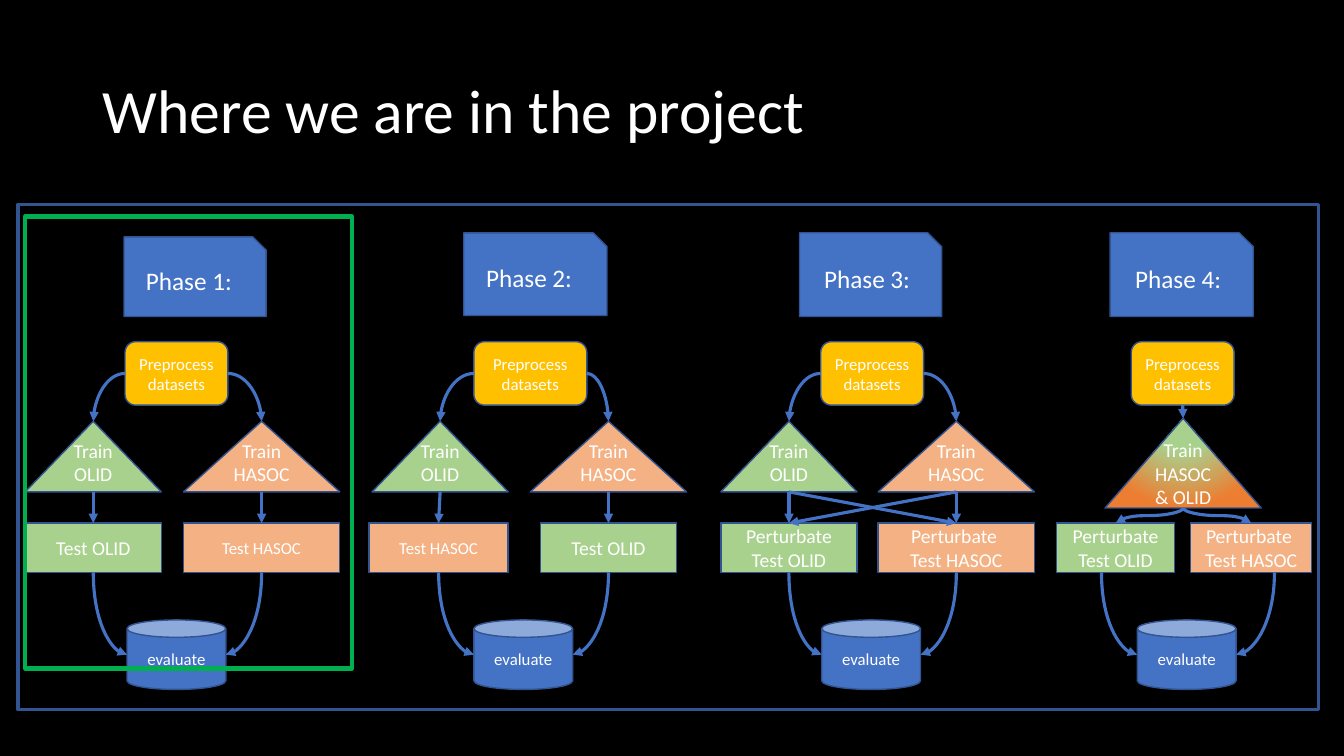
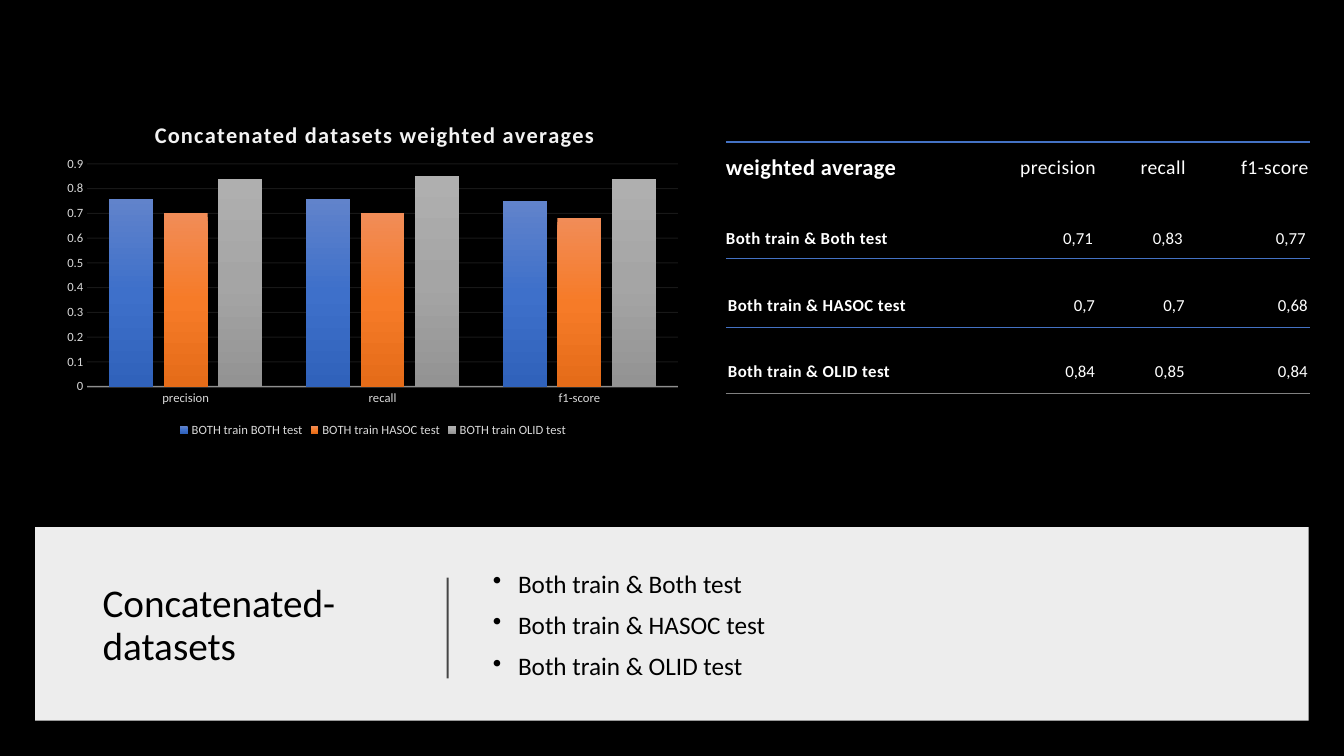
from dataclasses import dataclass
from itertools import product

from lxml import etree
from pptx import Presentation
from pptx.chart.data import CategoryChartData
from pptx.dml.color import RGBColor
from pptx.enum.chart import XL_CHART_TYPE, XL_LEGEND_POSITION, XL_TICK_MARK
from pptx.enum.shapes import MSO_CONNECTOR, MSO_SHAPE
from pptx.enum.text import MSO_ANCHOR, PP_ALIGN
from pptx.oxml import parse_xml
from pptx.oxml.ns import nsdecls, qn
from pptx.util import Inches, Pt

RECT, ROUNDED, SNIPPED = MSO_SHAPE.RECTANGLE, MSO_SHAPE.ROUNDED_RECTANGLE, MSO_SHAPE.SNIP_1_RECTANGLE
TRIANGLE, CAN = MSO_SHAPE.ISOSCELES_TRIANGLE, MSO_SHAPE.CAN
STRAIGHT, CURVE = MSO_CONNECTOR.STRAIGHT, MSO_CONNECTOR.CURVE
MIDDLE, BOTTOM = MSO_ANCHOR.MIDDLE, MSO_ANCHOR.BOTTOM
LEFT, CENTER, RIGHT = PP_ALIGN.LEFT, PP_ALIGN.CENTER, PP_ALIGN.RIGHT
COLUMNS, LEGEND_BOTTOM = XL_CHART_TYPE.COLUMN_CLUSTERED, XL_LEGEND_POSITION.BOTTOM
NO_TICK = XL_TICK_MARK.NONE


@dataclass(frozen=True)
class Theme:
    font: str = "Calibri"
    dark: str = "000000"
    light: str = "FFFFFF"
    blue: str = "4472C4"
    outline: str = "325491"
    olid: str = "A9D18E"
    hasoc: str = "F4B183"
    orange: str = "ED7D31"
    amber: str = "FFC000"
    highlight: str = "00B050"
    grey: str = "808080"
    axis_text: str = "D9D9D9"
    axis_line: str = "F2F2F2"
    title: int = 44
    subtitle: int = 28
    body: int = 18
    heading: int = 16
    node: int = 14
    small: int = 12
    chart: int = 9


THEME = Theme()
NODE_FILLS = {"OLID": THEME.olid, "HASOC": THEME.hasoc}
MIXED_STOPS = [(0, THEME.olid), (35, THEME.olid), (100, THEME.orange)]
MIXED_SHADE = '<a:path path="circle"><a:fillToRect l="50000" t="-80000" r="50000" b="180000"/></a:path>'
BAR_SHADE = '<a:lin ang="5400000" scaled="0"/>'


@dataclass(frozen=True)
class Box:
    left: float
    top: float
    width: float
    height: float

    @property
    def right(self):
        return self.left + self.width

    @property
    def bottom(self):
        return self.top + self.height

    @property
    def center(self):
        return self.left + self.width / 2

    @property
    def middle(self):
        return self.top + self.height / 2

    def inside(self, left, top, width, height):
        return Box(self.left + left, self.top + top, width, height)

    def emu(self):
        return [Inches(v) for v in (self.left, self.top, self.width, self.height)]


@dataclass(frozen=True)
class Phase:
    label: str
    box: Box
    label_at: tuple
    prep_at: tuple
    trains: list
    tests: list
    store_left: float
    crossed: bool = False
    outlets: tuple = (0, 0)


ROW_TOP, ROW_HEIGHT = 2.31, 4.53
PHASES = [
    Phase("Phase 1: ", Box(0.25, ROW_TOP, 3.12, ROW_HEIGHT), (0.98, 0.04, 1.41, 0.79), (0.99, 1.02),
          [("OLID", 0, 1.35), ("HASOC", 1.57, 1.55)],
          [("OLID", "Test OLID", 0, 1.35, 14), ("HASOC", "Test HASOC", 1.57, 1.55, 12)], 1.01),
    Phase("Phase 2: ", Box(3.66, ROW_TOP, 3.15, ROW_HEIGHT), (0.94, 0, 1.42, 0.82), (1.04, 1.12),
          [("OLID", 0.03, 1.35), ("HASOC", 1.6, 1.55)],
          [("HASOC", "Test HASOC", 0, 1.38, 12), ("OLID", "Test OLID", 1.7, 1.35, 14)], 1.04),
    Phase("Phase 3:", Box(7.15, ROW_TOP, 3.11, ROW_HEIGHT), (0.78, 0, 1.41, 0.83), (0.99, 1.02),
          [("OLID", 0, 1.35), ("HASOC", 1.56, 1.55)],
          [("OLID", "Perturbate Test OLID", 0, 1.35, 14),
           ("HASOC", "Perturbate \nTest HASOC", 1.56, 1.55, 14)], 1, crossed=True),
    Phase("Phase 4:", Box(10.48, ROW_TOP, 2.53, ROW_HEIGHT), (0.53, 0, 1.42, 0.83), (0.74, 1.02),
          [("HASOC & OLID", 0.48, 1.55)],
          [("OLID", "Perturbate Test OLID", 0, 1.17, 14),
           ("HASOC", "Perturbate \nTest HASOC", 1.33, 1.2, 14)], 0.8, outlets=(-0.14, 0.23)),
]
TEST_NAMES = ["Both train & Both test", "Both train & HASOC test", "Both train & OLID test"]
METRICS = ["precision", "recall", "f1-score"]
SCORES = [["0,71", "0,83", "0,77"], ["0,7", "0,7", "0,68"], ["0,84", "0,85", "0,84"]]
SERIES = [
    ("BOTH train BOTH test", (0.76, 0.76, 0.75), ("6183CB", "3E70CA", "3062BB")),
    ("BOTH train HASOC test", (0.7, 0.7, 0.68), ("F18C57", "F67B28", "E56C19")),
    ("BOTH train OLID test", (0.84, 0.85, 0.84), ("AFAFAF", "A5A5A5", "939393")),
]


def paint(fill, color, alpha=None):
    fill.solid()
    fill.fore_color.rgb = RGBColor.from_string(color)
    if alpha:
        clr = fill._xPr.find(f"{qn('a:solidFill')}/{qn('a:srgbClr')}")
        etree.SubElement(clr, qn("a:alpha")).set("val", str(alpha * 1000))


def paint_gradient(fill, stops, shade):
    marks = "".join(f'<a:gs pos="{pos * 1000}"><a:srgbClr val="{color}"/></a:gs>' for pos, color in stops)
    gradient = parse_xml(f'<a:gradFill {nsdecls("a")} rotWithShape="1"><a:gsLst>{marks}</a:gsLst>{shade}</a:gradFill>')
    fill.background()
    fill._xPr.replace(fill._xPr.find(qn("a:noFill")), gradient)


def stroke(line, color, width, alpha=None):
    paint(line.fill, color, alpha)
    line.width = Pt(width)


def style_font(font, size, color, bold=False):
    font.name, font.size, font.bold = THEME.font, Pt(size), bold
    font.color.rgb = RGBColor.from_string(color)


def write(frame, text, size, color, align=LEFT, anchor=MIDDLE, bold=False, tracking=0):
    frame.text = text
    frame.word_wrap = True
    frame.vertical_anchor = anchor
    for paragraph in frame.paragraphs:
        paragraph.alignment = align
        for run in paragraph.runs:
            style_font(run.font, size, color, bold)
            if tracking:
                run._r.get_or_add_rPr().set("spc", str(tracking))


def add_text(slide, box, text, size, color):
    frame = slide.shapes.add_textbox(*box.emu()).text_frame
    write(frame, text, size, color)
    for paragraph in frame.paragraphs:
        paragraph.line_spacing = 0.9
    return frame


def add_panel(slide, box, preset=RECT, fill=None, line=None, width=1, alpha=None):
    panel = slide.shapes.add_shape(preset, *box.emu())
    panel.shadow.inherit = False
    if fill:
        paint(panel.fill, fill, alpha)
    else:
        panel.fill.background()
    if line:
        stroke(panel.line, line, width)
    else:
        panel.line.fill.background()
    return panel


def add_node(slide, box, preset, text, fill, size):
    node = add_panel(slide, box, preset, fill, THEME.outline)
    write(node.text_frame, text, size, THEME.light, CENTER)
    return node


def add_line(slide, start, end, color=THEME.blue, width=2.25, alpha=None, arrow=True, kind=STRAIGHT):
    link = slide.shapes.add_connector(kind, *[Inches(v) for v in (*start, *end)])
    stroke(link.line, color, width, alpha)
    if arrow:
        etree.SubElement(link.line.fill._xPr, qn("a:tailEnd")).set("type", "triangle")
    etree.SubElement(link._element.spPr, qn("a:effectLst"))
    return link


def add_curve(slide, start, end, downward=True, preset="curvedConnector2"):
    (x1, y1), (x2, y2) = start, end
    width, height = abs(x2 - x1), abs(y2 - y1)
    if downward:
        width, height = height, width
    left, top = (x1 + x2 - width) / 2, (y1 + y2 - height) / 2
    link = add_line(slide, (left, top), (left + width, top + height), kind=CURVE)
    xfrm = link._element.spPr.find(qn("a:xfrm"))
    if downward:
        turn, flip = (90, None) if x2 < x1 else (270, "flipH")
    else:
        turn, flip = (180, "flipV") if x2 < x1 else (0, None)
    xfrm.set("rot", str(turn * 60000))
    if flip:
        xfrm.set(flip, "1")
    link._element.spPr.find(qn("a:prstGeom")).set("prst", preset)


def add_train(slide, box, dataset):
    node = add_node(slide, box, TRIANGLE, f"Train {dataset}", NODE_FILLS.get(dataset, THEME.orange), THEME.node)
    if dataset not in NODE_FILLS:
        paint_gradient(node.fill, MIXED_STOPS, MIXED_SHADE)
    node.text_frame.margin_bottom = Inches(0.29)


def add_phase(slide, phase):
    box, merged = phase.box, len(phase.trains) == 1
    add_node(slide, box.inside(*phase.label_at), SNIPPED, phase.label, THEME.blue, THEME.body)
    prep_left, prep_width = phase.prep_at
    prep = box.inside(prep_left, 1.08, prep_width, 0.63)
    add_node(slide, prep, ROUNDED, "Preprocess datasets", THEME.amber, THEME.small)
    store = box.inside(phase.store_left, 3.84, 0.98, 0.69)
    add_node(slide, store, CAN, "evaluate", THEME.blue, THEME.small)

    train_top, train_height = (1.84, 0.89) if merged else (1.87, 0.7)
    trains = [box.inside(left, train_top, width, train_height) for _, left, width in phase.trains]
    for train, (dataset, *_) in zip(trains, phase.trains):
        add_train(slide, train, dataset)
    tests = [box.inside(left, 2.88, width, 0.49) for _, _, left, width, _ in phase.tests]
    for test, (dataset, text, _, _, size) in zip(tests, phase.tests):
        add_node(slide, test, RECT, text, NODE_FILLS[dataset], size)

    if merged:
        add_line(slide, (prep.center, prep.bottom), (trains[0].center, trains[0].top))
    else:
        for side, train in zip((prep.left, prep.right), trains):
            add_curve(slide, (side, prep.middle), (train.center, train.top), downward=False)
    pairs = product(trains, tests) if merged or phase.crossed else zip(trains, tests)
    for train, test in pairs:
        start, end = (train.center, train.bottom), (test.center, test.top)
        if merged:
            add_curve(slide, start, end, preset="curvedConnector3")
        else:
            add_line(slide, start, end)
    for test, side, outlet in zip(tests, (store.left, store.right), phase.outlets):
        add_curve(slide, (test.center + outlet, test.bottom), (side, store.middle))


def set_layout(parent, index, target="", **fractions):
    for old in parent.findall(qn("c:layout")):
        parent.remove(old)
    modes = "".join(f'<c:{axis}Mode val="edge"/>' for axis in "xy")
    places = "".join(f'<c:{key} val="{value}"/>' for key, value in fractions.items())
    parent.insert(index, parse_xml(f'<c:layout {nsdecls("c")}><c:manualLayout>{target}{modes}{places}'
                                   '</c:manualLayout></c:layout>'))


def add_score_chart(slide, box):
    data = CategoryChartData()
    data.categories = METRICS
    for name, values, _ in SERIES:
        data.add_series(name, values)
    chart = slide.shapes.add_chart(COLUMNS, *box.emu(), data).chart
    style_font(chart.font, 10, THEME.light)
    chart._chartSpace.find(qn("c:chart")).addnext(parse_xml(
        f'<c:spPr {nsdecls("c", "a")}><a:solidFill><a:srgbClr val="{THEME.dark}"/></a:solidFill>'
        '<a:ln><a:noFill/></a:ln></c:spPr>'))
    chart.has_title = True
    write(chart.chart_title.text_frame, "Concatenated datasets weighted averages", THEME.heading,
          THEME.axis_line, CENTER, bold=True, tracking=100)
    set_layout(chart.chart_title._element, 1, x=0.15, y=0.05)
    set_layout(chart._chartSpace.find(f"{qn('c:chart')}/{qn('c:plotArea')}"), 0,
               '<c:layoutTarget val="inner"/>', x=0.05, y=0.19, w=0.93, h=0.65)
    chart.has_legend = True
    chart.legend.position, chart.legend.include_in_layout = LEGEND_BOTTOM, False
    style_font(chart.legend.font, THEME.chart, THEME.axis_text)

    plot = chart.plots[0]
    plot.gap_width, plot.overlap, plot.vary_by_categories = 100, -24, False
    for series, (_, _, colors) in zip(plot.series, SERIES):
        paint_gradient(series.format.fill, zip((0, 50, 100), colors), BAR_SHADE)
    categories, values = chart.category_axis, chart.value_axis
    for axis in (categories, values):
        axis.major_tick_mark = axis.minor_tick_mark = NO_TICK
        style_font(axis.tick_labels.font, THEME.chart, THEME.axis_text)
    stroke(categories.format.line, THEME.axis_line, 1, 54)
    values.format.line.fill.background()
    values.minimum_scale, values.maximum_scale, values.major_unit = 0, 0.9, 0.1
    stroke(values.major_gridlines.format.line, THEME.axis_line, 0.75, 10)


def add_border(cell, side, color, width):
    cell._tc.get_or_add_tcPr().append(parse_xml(
        f'<a:{side} {nsdecls("a")} w="{Pt(width)}"><a:solidFill><a:srgbClr val="{color}"/></a:solidFill></a:{side}>'))


def add_score_table(slide, box):
    rows = [["weighted average", *METRICS]] + [[name, *scores] for name, scores in zip(TEST_NAMES, SCORES)]
    insets = [(0, 0.01, 0.01, 0.09), (0, 0.01, 0.04, 0.09)] + [(0.02, 0.02, 0.02, 0.11)] * 2
    borders = {0: [("lnT", THEME.blue, 1.5)], 1: [("lnB", THEME.blue, 0.75)],
               2: [("lnT", THEME.blue, 0.75)], 3: [("lnB", THEME.grey, 0.75)]}
    table = slide.shapes.add_table(4, 4, *box.emu()).table
    table.first_row = table.horz_banding = False
    table._tbl.tblPr.find(qn("a:tableStyleId")).text = "{2D5ABB26-0587-4C30-8999-92F81FD0307C}"
    for column, width in zip(table.columns, (1.89, 1.79, 0.89, 1.22)):
        column.width = Inches(width)
    for row, height in zip(table.rows, (0.59, 0.56, 0.69, 0.65)):
        row.height = Inches(height)
    for r, c in product(range(4), range(4)):
        cell, header, name = table.cell(r, c), r == 0, c == 0
        size = (THEME.heading if name else THEME.node) if header else THEME.small
        write(cell.text_frame, rows[r][c], size, THEME.light, LEFT if name else RIGHT,
              bold=name, tracking=30 if header or name else 0)
        cell.vertical_anchor = MIDDLE if header else BOTTOM
        cell.margin_left, cell.margin_top, cell.margin_right, cell.margin_bottom = map(Inches, insets[r])
        for border in borders[r]:
            add_border(cell, *border)
        paint(cell.fill, THEME.dark)


def add_caption_band(slide, box):
    add_panel(slide, box, fill=THEME.light, alpha=93)
    add_text(slide, box.inside(0.57, 0.25, 3.16, 1.47), "Concatenated-datasets", THEME.subtitle, THEME.dark)
    divider = box.left + 4.09
    add_line(slide, (divider, box.top + 1.5), (divider, box.top + 0.5), THEME.dark, 1.5, 70, arrow=False)
    frame = add_text(slide, box.inside(4.44, 0.25, 7.63, 1.47), "\n".join(TEST_NAMES), THEME.body, THEME.dark)
    for paragraph in frame.paragraphs:
        paragraph.space_before = Pt(10)
        properties = paragraph._p.get_or_add_pPr()
        properties.set("marL", str(Inches(0.25)))
        properties.set("indent", str(Inches(-0.25)))
        etree.SubElement(properties, qn("a:buChar")).set("char", "•")


def new_slide(deck):
    slide = deck.slides.add_slide(deck.slide_layouts[6])
    paint(slide.background.fill, THEME.dark)
    return slide


def build_project_slide(deck):
    slide = new_slide(deck)
    add_text(slide, Box(0.92, 0.4, 11.5, 1.45), "Where we are in the project", THEME.title, THEME.light)
    add_panel(slide, Box(0.18, 2.03, 12.9, 5.01), line=THEME.outline, width=2.5)
    for phase in PHASES:
        add_phase(slide, phase)
    add_panel(slide, Box(0.25, 2.15, 3.24, 4.48), line=THEME.highlight, width=3.25)


def build_results_slide(deck):
    slide = new_slide(deck)
    add_caption_band(slide, Box(0.35, 5.23, 12.63, 1.92))
    add_score_table(slide, Box(7.2, 1.41, 5.78, 2.49))
    add_score_chart(slide, Box(0.55, 0.98, 6.3, 3.4))


def main():
    deck = Presentation()
    deck.slide_width, deck.slide_height = Inches(13.33), Inches(7.5)
    build_project_slide(deck)
    build_results_slide(deck)
    deck.save("out.pptx")


if __name__ == "__main__":
    main()
